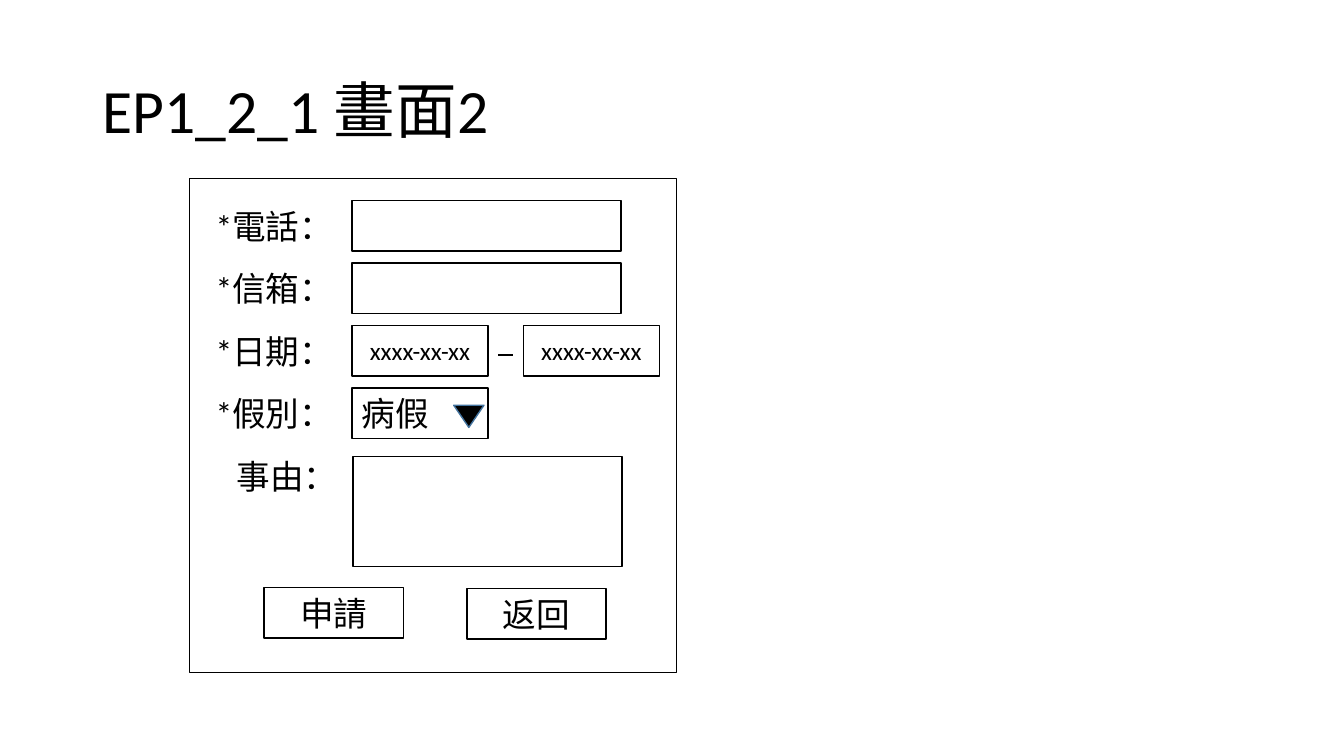
from lxml.etree import SubElement
from pptx import Presentation
from pptx.dml.color import RGBColor
from pptx.enum.shapes import MSO_CONNECTOR, MSO_SHAPE
from pptx.enum.text import MSO_ANCHOR, PP_ALIGN
from pptx.oxml.ns import qn
from pptx.util import Inches, Pt

COLORS = {"ink": "000000", "paper": "FFFFFF", "arrow_edge": "43739E"}
FONT = "Calibri"
FIELD_LEFT = 3.49
FIELD_WIDTH = 2.67
SHORT_WIDTH = 1.35
BUTTON_WIDTH = 1.38
ROW_TOP = 1.99
ROW_STEP = 0.62
ROW_HEIGHT = 0.5


def color(name):
    """Return the named colour."""
    return RGBColor.from_string(COLORS[name])


def write(text_frame, text, size, align=PP_ALIGN.LEFT):
    """Put one formatted line of text in a frame."""
    text_frame.text = text
    paragraph = text_frame.paragraphs[0]
    paragraph.alignment = align
    font = paragraph.runs[0].font
    font.name = FONT
    font.size = Pt(size)
    font.color.rgb = color("ink")


def add_title(slide, text):
    """Place and format the slide title."""
    title = slide.shapes.title
    title.left, title.top = Inches(0.92), Inches(0.4)
    title.width, title.height = Inches(11.5), Inches(1.45)
    write(title.text_frame, text, 44)
    title.text_frame.vertical_anchor = MSO_ANCHOR.MIDDLE
    title.text_frame.paragraphs[0].line_spacing = 0.9


def add_label(slide, left, top, text):
    """Add the label of a form field."""
    label = slide.shapes.add_textbox(
        Inches(left), Inches(top), Inches(1.24), Inches(ROW_HEIGHT))
    label.text_frame.word_wrap = False
    write(label.text_frame, text, 24)


def add_shape(slide, kind, left, top, width, height, fill="paper", line="ink"):
    """Add a flat shape with a thin outline."""
    shape = slide.shapes.add_shape(
        kind, Inches(left), Inches(top), Inches(width), Inches(height))
    shape.shadow.inherit = False
    if fill:
        shape.fill.solid()
        shape.fill.fore_color.rgb = color(fill)
    else:
        shape.fill.background()
    shape.line.color.rgb = color(line)
    shape.line.width = Pt(1)
    return shape


def add_box(slide, left, top, width, height=ROW_HEIGHT, text="", size=24,
            align=PP_ALIGN.CENTER, fill="paper"):
    """Add a form box, with text if given."""
    box = add_shape(slide, MSO_SHAPE.RECTANGLE, left, top, width, height, fill)
    if text:
        write(box.text_frame, text, size, align)
        box.text_frame.vertical_anchor = MSO_ANCHOR.MIDDLE


def add_dash(slide, left, right, top):
    """Draw the dash between the two dates."""
    dash = slide.shapes.add_connector(
        MSO_CONNECTOR.STRAIGHT, Inches(left), Inches(top), Inches(right), Inches(top))
    dash.line.color.rgb = color("ink")
    dash.line.width = Pt(1.5)
    SubElement(dash.element.spPr, qn("a:effectLst"))


def main():
    """Build the leave request form."""
    presentation = Presentation()
    presentation.slide_width = Inches(13.33)
    presentation.slide_height = Inches(7.5)
    slide = presentation.slides.add_slide(presentation.slide_layouts[5])

    add_title(slide, "EP1_2_1 畫面2")
    add_box(slide, 1.88, 1.77, 4.83, 4.9, fill=None)

    tops = [ROW_TOP + row * ROW_STEP for row in range(5)]
    phone_top, mail_top, date_top, type_top, reason_top = tops
    for top, text in zip(tops, ("*電話：", "*信箱：", "*日期：", "*假別：")):
        add_label(slide, 2.04, top, text)
    add_label(slide, 2.25, reason_top, "事由：")

    for top in (phone_top, mail_top):
        add_box(slide, FIELD_LEFT, top, FIELD_WIDTH)

    for left in (FIELD_LEFT, 5.19):
        add_box(slide, left, date_top, SHORT_WIDTH, text="xxxx-xx-xx", size=18)
    add_dash(slide, 4.94, 5.09, 3.52)

    add_box(slide, FIELD_LEFT, type_top, SHORT_WIDTH, text="病假", align=PP_ALIGN.LEFT)
    arrow = add_shape(slide, MSO_SHAPE.ISOSCELES_TRIANGLE, 4.5, 4.02, 0.3, 0.22,
                      "ink", "arrow_edge")
    arrow.rotation = 180

    add_box(slide, 3.5, 4.53, FIELD_WIDTH, 1.09)
    for left, top, text in ((2.62, 5.83, "申請"), (4.63, 5.84, "返回")):
        add_box(slide, left, top, BUTTON_WIDTH, text=text)

    presentation.save("out.pptx")


if __name__ == "__main__":
    main()
